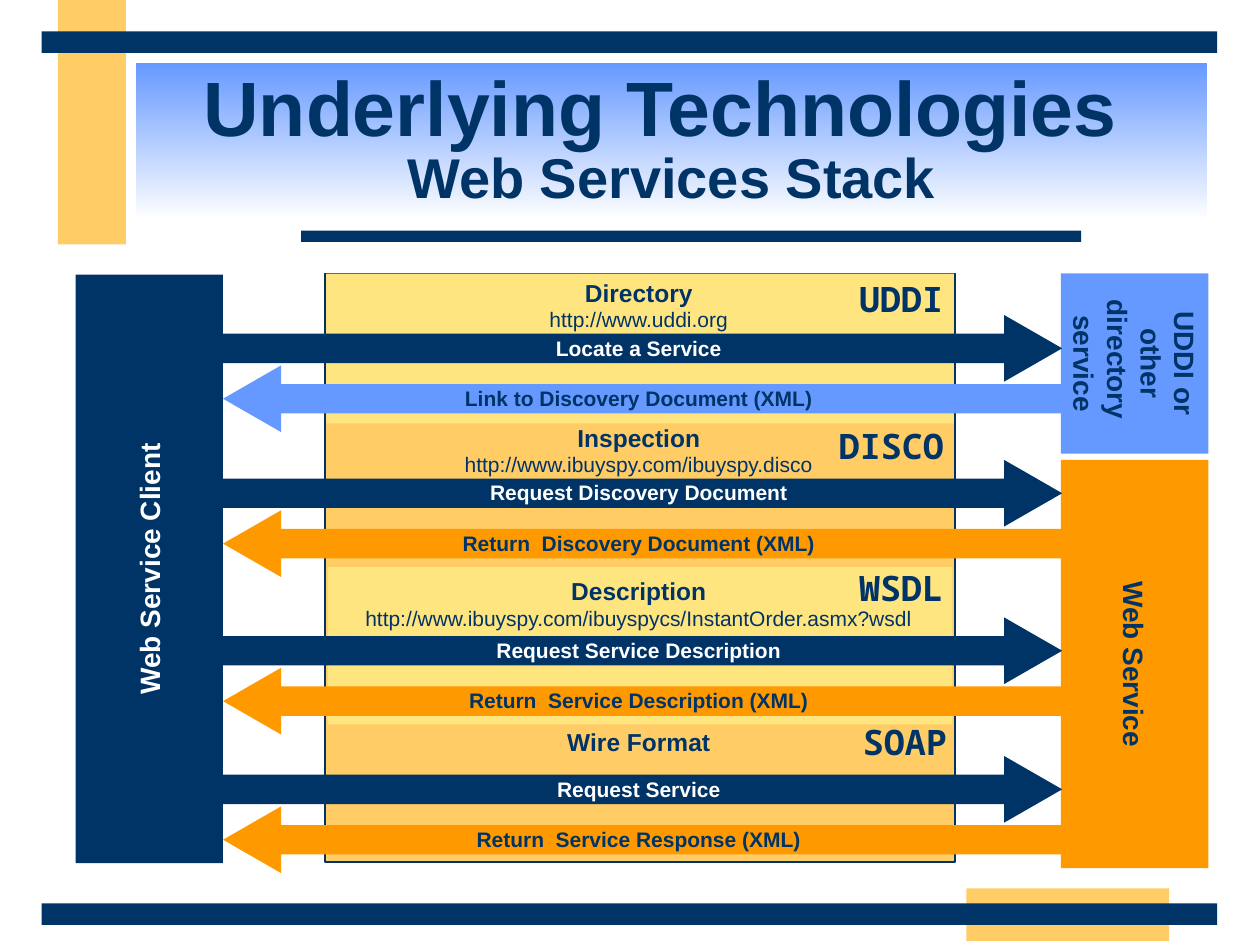
from lxml import etree
from pptx import Presentation
from pptx.dml.color import RGBColor
from pptx.enum.shapes import MSO_SHAPE
from pptx.enum.text import MSO_ANCHOR, MSO_AUTO_SIZE, PP_ALIGN
from pptx.oxml.ns import qn
from pptx.util import Inches, Pt

RECT = MSO_SHAPE.RECTANGLE
RIGHT, LEFT = MSO_SHAPE.RIGHT_ARROW, MSO_SHAPE.LEFT_ARROW
TOP, MIDDLE = MSO_ANCHOR.TOP, MSO_ANCHOR.MIDDLE
START, CENTER = PP_ALIGN.LEFT, PP_ALIGN.CENTER
FIT, FIXED = MSO_AUTO_SIZE.SHAPE_TO_FIT_TEXT, MSO_AUTO_SIZE.NONE

NAVY, BLUE, WHITE = "003366", "6699FF", "FFFFFF"
GOLD, ORANGE, PALE = "FFCC66", "FF9900", "FFFF99"
SANS, MONO = "Arial", "Noto Sans Mono"


def rgb(code):
    return RGBColor.from_string(code)


class Deck:
    """Holds the style and the current slide."""

    def __init__(self, slide):
        self.slide = slide
        self.shapes = slide.shapes

    def run(self, para, text, size, color=NAVY, bold=True, font=SANS):
        run = para.add_run()
        run.text = text
        run.font.name, run.font.size, run.font.bold = font, Pt(size), bold
        run.font.color.rgb = rgb(color)

    def shape(self, kind, box, fill, line=None, alpha=None):
        item = self.shapes.add_shape(kind, *map(Inches, box))
        item.shadow.inherit = False
        item.fill.solid()
        item.fill.fore_color.rgb = rgb(fill)
        if alpha:
            tint = item._element.spPr.find(".//" + qn("a:srgbClr"))
            etree.SubElement(tint, qn("a:alpha"), val=str(alpha * 1000))
        if line:
            item.line.color.rgb = rgb(line)
            item.line.width = Pt(1)
        else:
            item.line.fill.background()
        return item

    def arrow(self, kind, left, top, width, fill):
        item = self.shape(kind, (left, top, width, 0.53), fill)
        item.adjustments[0], item.adjustments[1] = 0.44, 0.87

    def text(self, box, lines, align=CENTER, anchor=MIDDLE, wrap=True, turn=0):
        """Each line is a tuple of arguments for one run."""
        item = self.shapes.add_textbox(*map(Inches, box))
        item.rotation = turn
        frame = item.text_frame
        frame.word_wrap, frame.auto_size = wrap, FIT
        frame.vertical_anchor = anchor
        for i, line in enumerate(lines):
            para = frame.add_paragraph() if i else frame.paragraphs[0]
            para.alignment = align
            self.run(para, *line)

    def title(self, box, head, sub):
        item = self.shapes.title
        item.left, item.top, item.width, item.height = map(Inches, box)
        item.fill.gradient()
        item.fill.gradient_angle = 270
        for stop, color, place in zip(item.fill.gradient_stops, (BLUE, WHITE), (0, 1)):
            stop.color.rgb = rgb(color)
            stop.position = place
        frame = item.text_frame
        frame.word_wrap, frame.auto_size = True, FIXED
        frame.vertical_anchor = MIDDLE
        para = frame.paragraphs[0]
        para.alignment, para.line_spacing = CENTER, 0.85
        self.run(para, head, 44)
        para.add_line_break()
        self.run(para, sub, 32)


# Each layer: heading, link, top; tag, left, top; arrow top, request; reply, colour
LAYERS = [
    ("Directory", "http://www.uddi.org", 2.15, "UDDI", 6.72, 2.15,
     2.5, "Locate a Service", "Link to Discovery Document (XML)", BLUE),
    ("Inspection", "http://www.ibuyspy.com/ibuyspy.disco", 3.3, "DISCO", 6.56, 3.32,
     3.65, "Request Discovery Document", "Return  Discovery Document (XML)", ORANGE),
    ("Description", "http://www.ibuyspy.com/ibuyspycs/InstantOrder.asmx?wsdl",
     4.52, "WSDL", 6.72, 4.45,
     4.9, "Request Service Description", "Return  Service Description (XML)", ORANGE),
    ("Wire Format", None, 5.72, "SOAP", 6.75, 5.67,
     6, "Request Service", "Return  Service Response (XML)", ORANGE),
]


def main():
    prs = Presentation()
    prs.slide_width, prs.slide_height = Inches(10), Inches(7.5)
    deck = Deck(prs.slides.add_slide(prs.slide_layouts[5]))

    # Frame bars
    for box, fill in [
        ((0.46, 0, 0.54, 1.94), GOLD),
        ((7.67, 7.05, 1.61, 0.42), GOLD),
        ((2.39, 1.83, 6.19, 0.09), NAVY),
        ((0.33, 7.17, 9.33, 0.17), NAVY),
        ((0.33, 0.25, 9.33, 0.17), NAVY),
    ]:
        deck.shape(RECT, box, fill)

    deck.title((1.08, 0.5, 8.5, 1.25), "Underlying Technologies ", "Web Services Stack")

    # Stack panel with its lighter bands
    deck.shape(RECT, (2.58, 2.17, 5, 4.67), GOLD, line=NAVY)
    deck.shape(RECT, (2.59, 2.17, 4.98, 1.19), PALE, alpha=50)
    deck.shape(RECT, (2.6, 4.5, 4.96, 1.25), PALE, alpha=50)

    # Client and servers
    deck.shape(RECT, (0.6, 2.18, 1.17, 4.67), NAVY)
    deck.shape(RECT, (8.42, 2.17, 1.17, 1.43), BLUE)
    deck.shape(RECT, (8.42, 3.65, 1.17, 3.24), ORANGE)

    # Layers: arrows, then their words
    for head, link, top, tag, left, high, y, ask, reply, fill in LAYERS:
        deck.arrow(RIGHT, 1.72, y, 6.71, NAVY)
        deck.arrow(LEFT, 1.77, y + 0.4, 6.65, fill)
        lines = [(head, 14)]
        if link:
            lines.append((link, 12, NAVY, False))
        deck.text((2.57, top, 5, 0.54 if link else 0.34), lines)
        # Side insets plus one fixed advance per letter
        deck.text((left, high, 0.2 + 0.17 * len(tag), 0.44),
                  [(tag, 20, NAVY, True, MONO)], START, TOP, wrap=False)
        deck.text((2.57, y + 0.11, 5, 0.3), [(ask, 12, WHITE)])
        deck.text((2.57, y + 0.51, 5, 0.3), [(reply, 12)])

    # Turned labels
    deck.text((0.09, 4.33, 2.19, 0.37), [("Web Service Client", 16, WHITE)],
              START, TOP, wrap=False, turn=270)
    names = ["UDDI or", "other", "directory ", "service"]
    deck.text((8.4, 2.3, 1.21, 1.17), [(name, 16) for name in names],
              CENTER, TOP, wrap=False, turn=90)
    deck.text((8.24, 5.09, 1.52, 0.37), [("Web Service", 16)],
              START, TOP, wrap=False, turn=90)

    prs.save("out.pptx")


if __name__ == "__main__":
    main()
